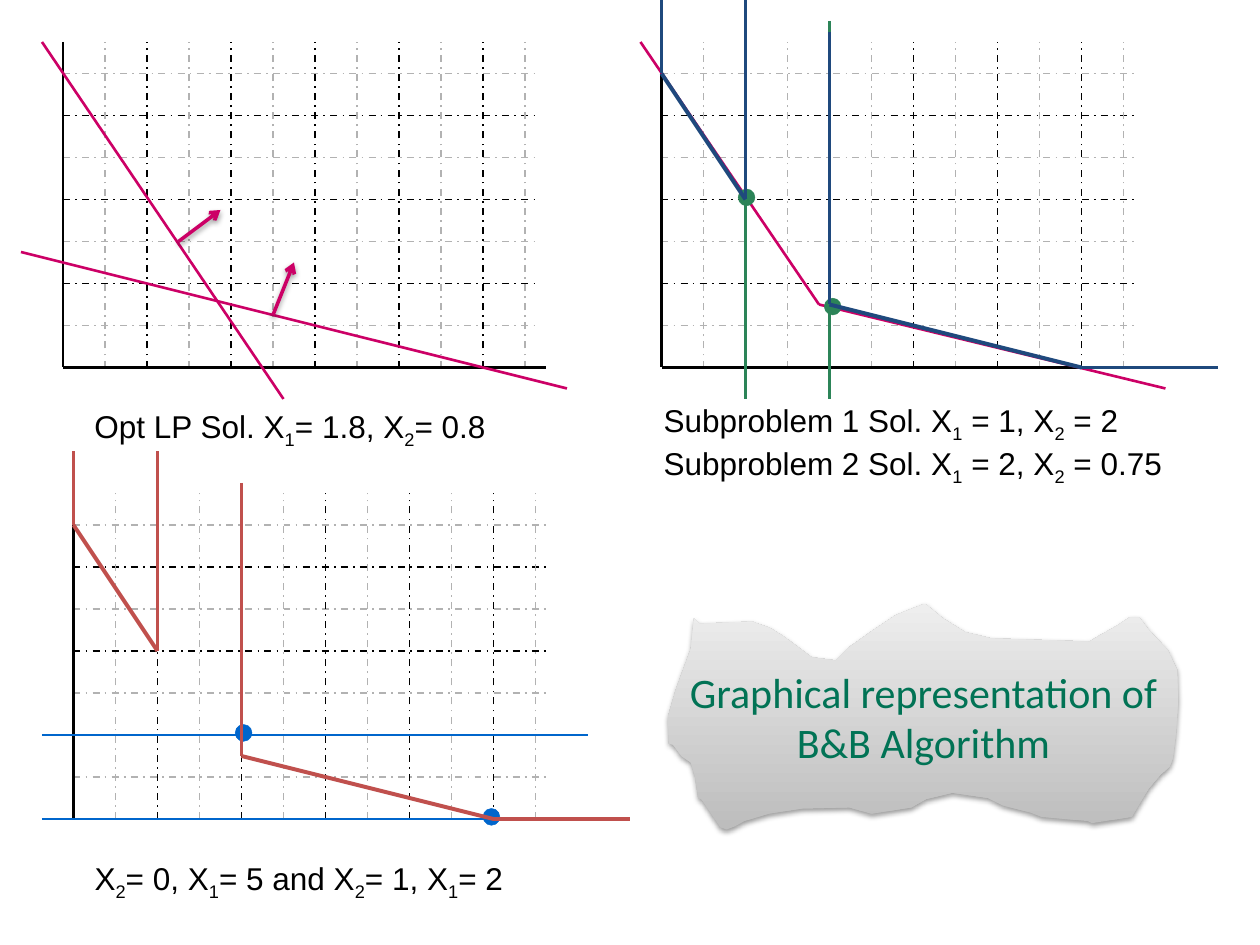
"""Builds a slide that shows a branch and bound search on three plots."""
from itertools import pairwise

from lxml import etree
from pptx import Presentation
from pptx.dml.color import RGBColor
from pptx.enum import dml, shapes, text
from pptx.oxml import ns
from pptx import util as u

PX = 120
HUES = {
    "ink": "000000", "grid": "B2B2B2", "pink": "CC0066", "green": "2C8458",
    "blue": "0066CC", "navy": "1F497D", "red": "C0504D", "title": "017355",
    "dark": "BDBDBD", "light": "EEEEEE",
}
STEP, WIDE, HIGH = 40, 450, 310
SPLITS = (
    [(0, -40), (0, 30), (80, 150), (80, -40)],
    [(160, -10), (160, 250), (400, 310), (530, 310)],
)
SCRAP = [
    (25, 14), (22, 43), (8, 81), (0, 108), (1, 133), (5, 134), (13, 145),
    (22, 151), (26, 165), (29, 185), (32, 186), (50, 213), (56, 215),
    (64, 212), (73, 207), (96, 200), (128, 195), (173, 194), (194, 200),
    (232, 194), (246, 186), (271, 180), (305, 185), (319, 192), (346, 199),
    (356, 203), (400, 207), (404, 209), (442, 203), (449, 191), (458, 176),
    (469, 163), (478, 155), (481, 147), (484, 123), (486, 92), (485, 63),
    (476, 44), (458, 25), (449, 13), (440, 13), (428, 21), (410, 31),
    (402, 36), (308, 33), (283, 27), (262, 14), (245, 0), (232, 5),
    (217, 11), (196, 25), (172, 42), (160, 54), (137, 51), (125, 42),
    (110, 31), (97, 23), (80, 17), (30, 19),
]


def emu(px):
    """Turn px into EMU."""
    return u.Emu(round(px * 914400 / PX))


def hue(name):
    """Return a named colour."""
    return RGBColor.from_string(HUES[name])


def shade(props, soft=False):
    """Give shape properties a soft shadow or none."""
    fx = etree.SubElement(props, ns.qn("a:effectLst"))
    if soft:
        drop = etree.SubElement(fx, ns.qn("a:outerShdw"), blurRad="40000",
                                dist="20000", dir="5400000", rotWithShape="0")
        tint = etree.SubElement(drop, ns.qn("a:srgbClr"), val=HUES["ink"])
        etree.SubElement(tint, ns.qn("a:alpha"), val="38000")


def trace(slide, box, points, color, width=1.5, dash=False, arrow=False):
    """Draw joined straight lines through points of a box."""
    left, top = box
    for (x1, y1), (x2, y2) in pairwise(points):
        line = slide.shapes.add_connector(
            shapes.MSO_CONNECTOR.STRAIGHT, emu(left + x1), emu(top + y1),
            emu(left + x2), emu(top + y2))
        line.line.color.rgb = hue(color)
        line.line.width = u.Pt(width)
        if dash:
            line.line.dash_style = dml.MSO_LINE.DASH_DOT
        if arrow:
            etree.SubElement(line.line._get_or_add_ln(), ns.qn("a:tailEnd"),
                             type="arrow")
        shade(line._element.spPr, arrow)


def dot(slide, box, x, y, color):
    """Mark a solution by a dot centred on a point of a box."""
    mark = slide.shapes.add_shape(
        shapes.MSO_SHAPE.OVAL, emu(box[0] + x - 8), emu(box[1] + y - 8),
        emu(16), emu(16))
    mark.shadow.inherit = False
    mark.fill.solid()
    mark.fill.fore_color.rgb = hue(color)
    mark.line.color.rgb = hue(color)
    mark.line.width = u.Pt(0.25)


def grid(slide, box):
    """Draw the axes and the dashed grid."""
    for i, y in enumerate(range(30, HIGH, STEP)):
        trace(slide, box, [(0, y), (WIDE, y)], "ink" if i % 2 else "grid", 1, True)
    for i, x in enumerate(range(STEP, WIDE, STEP)):
        trace(slide, box, [(x, HIGH), (x, 0)], "ink" if i % 2 else "grid", 1, True)
    trace(slide, box, [(0, 0), (0, HIGH), (WIDE + 10, HIGH)], "ink", 1.25)


def bounds(slide, box, color):
    """Outline the two split regions."""
    for points in SPLITS:
        trace(slide, box, points, color, 2.25)


def relaxed(slide, box):
    """Plot the relaxed problem with its two constraints."""
    grid(slide, box)
    trace(slide, box, [(-40, 200), (480, 330)], "pink")
    trace(slide, box, [(-20, 0), (210, 340)], "pink")
    trace(slide, box, [(110, 190), (150, 160)], "pink", 2, arrow=True)
    trace(slide, box, [(200, 260), (220, 210)], "pink", 2, arrow=True)


def branched(slide, box):
    """Plot the two subproblems split on the first variable."""
    grid(slide, box)
    trace(slide, box, [(-20, 0), (150, 250), (480, 330)], "pink")
    for x in (80, 160):
        trace(slide, box, [(x, -20), (x, 340)], "green")
    dot(slide, box, 81, 148, "green")
    dot(slide, box, 163, 252, "green")
    bounds(slide, box, "navy")


def solved(slide, box):
    """Plot the whole-number solutions."""
    grid(slide, box)
    for y in (230, 310):
        trace(slide, box, [(-30, y), (490, y)], "blue")
    dot(slide, box, 398, 308, "blue")
    dot(slide, box, 162, 228, "blue")
    bounds(slide, box, "red")


def caption(slide, box, lines, inset=30, align=text.PP_ALIGN.LEFT):
    """Write lines in which an underscore lowers the next character."""
    frame = slide.shapes.add_textbox(*map(emu, box)).text_frame
    frame.word_wrap = True
    frame.margin_left = emu(inset)
    for i, line in enumerate(lines):
        para = frame.add_paragraph() if i else frame.paragraphs[0]
        para.alignment = align
        first, *rest = line.split("_")
        for part, low in [(first, False)] + [
                pair for s in rest for pair in ((s[0], True), (s[1:], False))]:
            if not part:
                continue
            run = para.add_run()
            run.text = part
            run.font.size = u.Pt(18)
            run.font.name = "Arial"
            run.font.color.rgb = hue("ink")
            if low:
                run._r.get_or_add_rPr().set("baseline", "-25000")


def banner(slide, box):
    """Place the title on a torn paper scrap."""
    left, top, wide, high = box
    pen = slide.shapes.build_freeform(*SCRAP[0], scale=emu(1))
    pen.add_line_segments(SCRAP[1:], close=True)
    scrap = pen.convert_to_shape(emu(left), emu(top))
    scrap.fill.gradient()
    scrap.fill.gradient_angle = 90
    for stop, name in zip(scrap.fill.gradient_stops, ("dark", "light")):
        stop.color.rgb = hue(name)
    scrap.line.fill.background()
    shade(scrap._element.spPr, True)

    title = slide.shapes.title
    title.left, title.top, title.width, title.height = map(emu, box)
    frame = title.text_frame
    frame.text = "Graphical representation of B&B Algorithm"
    frame.word_wrap = True
    frame.auto_size = text.MSO_AUTO_SIZE.NONE
    frame.vertical_anchor = text.MSO_ANCHOR.MIDDLE
    para = frame.paragraphs[0]
    para.alignment = text.PP_ALIGN.CENTER
    font = para.runs[0].font
    font.size, font.name = u.Pt(24), "Calibri"
    font.color.rgb = hue("title")
    scrap._element.addnext(title._element)


def main():
    """Build and save the slide."""
    deck = Presentation()
    deck.slide_width, deck.slide_height = emu(1200), emu(900)
    slide = deck.slides.add_slide(deck.slide_layouts[5])
    relaxed(slide, (60, 40))
    branched(slide, (630, 40))
    solved(slide, (70, 470))
    caption(slide, (60, 382, 420, 48), ["Opt LP Sol. X_1= 1.8, X_2= 0.8"])
    caption(slide, (590, 376, 550, 84),
            ["Subproblem 1 Sol. X_1 = 1, X_2 = 2",
             "Subproblem 2 Sol. X_1 = 2, X_2 = 0.75"],
            42, text.PP_ALIGN.JUSTIFY)
    caption(slide, (60, 812, 450, 48), ["X_2= 0, X_1= 5 and X_2= 1, X_1= 2"])
    banner(slide, (636, 575, 487, 215))
    deck.save("out.pptx")


if __name__ == "__main__":
    main()
